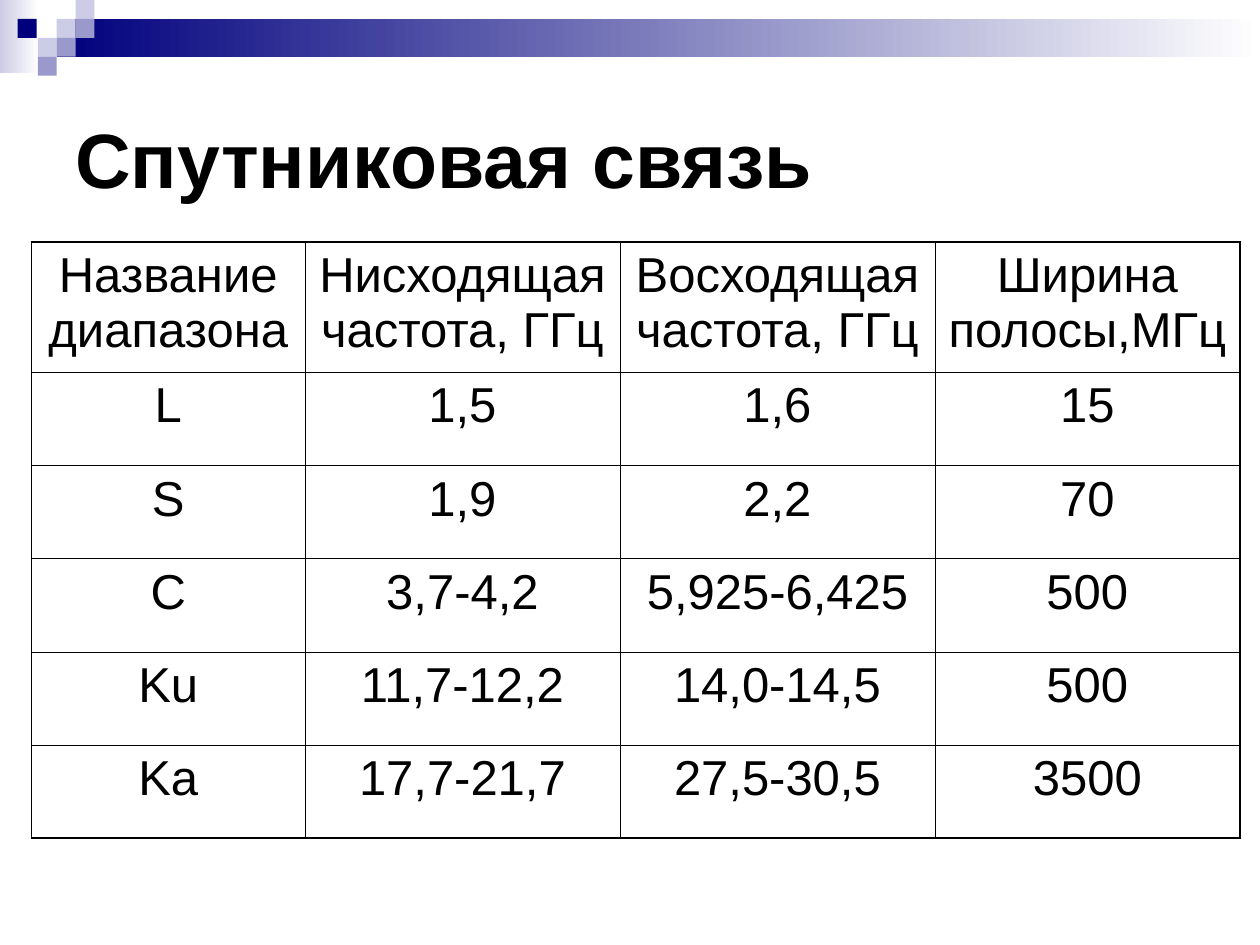
from typing import NamedTuple

from lxml.etree import SubElement
from pptx import Presentation
from pptx.dml.color import RGBColor
from pptx.enum.shapes import MSO_SHAPE
from pptx.enum.text import MSO_ANCHOR, PP_ALIGN
from pptx.oxml.ns import qn
from pptx.util import Inches, Pt

FONT = "Arial"
BLACK, WHITE = "000000", "FFFFFF"
NAVY, PERIWINKLE, LAVENDER = "00007D", "9999CC", "CCCCE6"
SQUARE = 0.15
THIN, THICK = 0.45, 1.08


class Band(NamedTuple):
    left: float
    top: float
    width: float
    height: float
    color: str
    fade_to: str = ""


BANDS = [
    Band(0, 0, 0.31, 0.58, LAVENDER, WHITE),
    Band(0.45, 0.15, 9.55, 0.3, NAVY, WHITE),
] + [
    Band(left, top, SQUARE, SQUARE, color)
    for left, top, color in [
        (0.45, 0.15, LAVENDER),
        (0.6, 0, LAVENDER),
        (0.6, 0.15, PERIWINKLE),
        (0.3, 0.3, LAVENDER),
        (0.14, 0.15, NAVY),
        (0.45, 0.3, PERIWINKLE),
        (0.3, 0.45, PERIWINKLE),
    ]
]

COLUMN_WIDTHS = [2.17, 2.5, 2.5, 2.42]
HEADER_HEIGHT, ROW_HEIGHT = 1.03, 0.74
FREQUENCIES = [
    ["Название диапазона", "Нисходящая частота, ГГц", "Восходящая частота, ГГц", "Ширина полосы,МГц"],
    ["L", "1,5", "1,6", "15"],
    ["S", "1,9", "2,2", "70"],
    ["C", "3,7-4,2", "5,925-6,425", "500"],
    ["Ku", "11,7-12,2", "14,0-14,5", "500"],
    ["Ka", "17,7-21,7", "27,5-30,5", "3500"],
]


def rgb(color: str) -> RGBColor:
    return RGBColor.from_string(color)


def style_paragraph(paragraph, size: float, bold: bool = False) -> None:
    font = paragraph.font
    font.name, font.size, font.bold = FONT, Pt(size), bold
    font.color.rgb = rgb(BLACK)


def draw_band(page, band: Band) -> None:
    shape = page.shapes.add_shape(
        MSO_SHAPE.RECTANGLE, Inches(band.left), Inches(band.top), Inches(band.width), Inches(band.height)
    )
    shape.shadow.inherit = False
    shape.line.fill.background()
    if band.fade_to:
        shape.fill.gradient()
        shape.fill.gradient_angle = 0
        for stop, color in zip(shape.fill.gradient_stops, (band.color, band.fade_to)):
            stop.color.rgb = rgb(color)
    else:
        shape.fill.solid()
        shape.fill.fore_color.rgb = rgb(band.color)


def draw_title(page, text: str) -> None:
    box = page.shapes.add_textbox(Inches(0.5), Inches(0.5), Inches(9), Inches(1.5))
    frame = box.text_frame
    frame.word_wrap = True
    frame.vertical_anchor = MSO_ANCHOR.MIDDLE
    paragraph = frame.paragraphs[0]
    paragraph.text = text
    style_paragraph(paragraph, 44, bold=True)


def set_borders(cell, outer_sides: dict[str, bool]) -> None:
    """Draw each side of a cell, thicker where it lies on the table's edge."""
    properties = cell._tc.get_or_add_tcPr()
    for position, (side, is_outer) in enumerate(outer_sides.items()):
        line = SubElement(properties, qn(f"a:{side}"), w=str(Pt(THICK if is_outer else THIN)))
        fill = SubElement(line, qn("a:solidFill"))
        SubElement(fill, qn("a:srgbClr"), val=BLACK)
        properties.insert(position, line)


def draw_table(page, rows: list[list[str]]) -> None:
    heights = [HEADER_HEIGHT] + [ROW_HEIGHT] * (len(rows) - 1)
    table = page.shapes.add_table(
        len(rows), len(COLUMN_WIDTHS),
        Inches(0.25), Inches(1.92), Inches(sum(COLUMN_WIDTHS)), Inches(sum(heights)),
    ).table
    table.first_row = table.horz_banding = False
    for column, width in zip(table.columns, COLUMN_WIDTHS):
        column.width = Inches(width)
    for row_index, (texts, height) in enumerate(zip(rows, heights)):
        table.rows[row_index].height = Inches(height)
        for column_index, text in enumerate(texts):
            cell = table.cell(row_index, column_index)
            cell.fill.background()
            paragraph = cell.text_frame.paragraphs[0]
            paragraph.text = text
            paragraph.alignment = PP_ALIGN.CENTER
            paragraph.space_before = Pt(7)
            style_paragraph(paragraph, 28)
            set_borders(cell, {
                "lnL": column_index == 0,
                "lnR": column_index == len(texts) - 1,
                "lnT": row_index == 0,
                "lnB": row_index == len(rows) - 1,
            })


def main() -> None:
    deck = Presentation()
    deck.slide_width, deck.slide_height = Inches(10), Inches(7.5)
    page = deck.slides.add_slide(deck.slide_layouts[6])

    # Header decoration
    for band in BANDS:
        draw_band(page, band)

    # Title and frequency table
    draw_title(page, "Спутниковая связь")
    draw_table(page, FREQUENCIES)

    deck.save("out.pptx")


if __name__ == "__main__":
    main()
